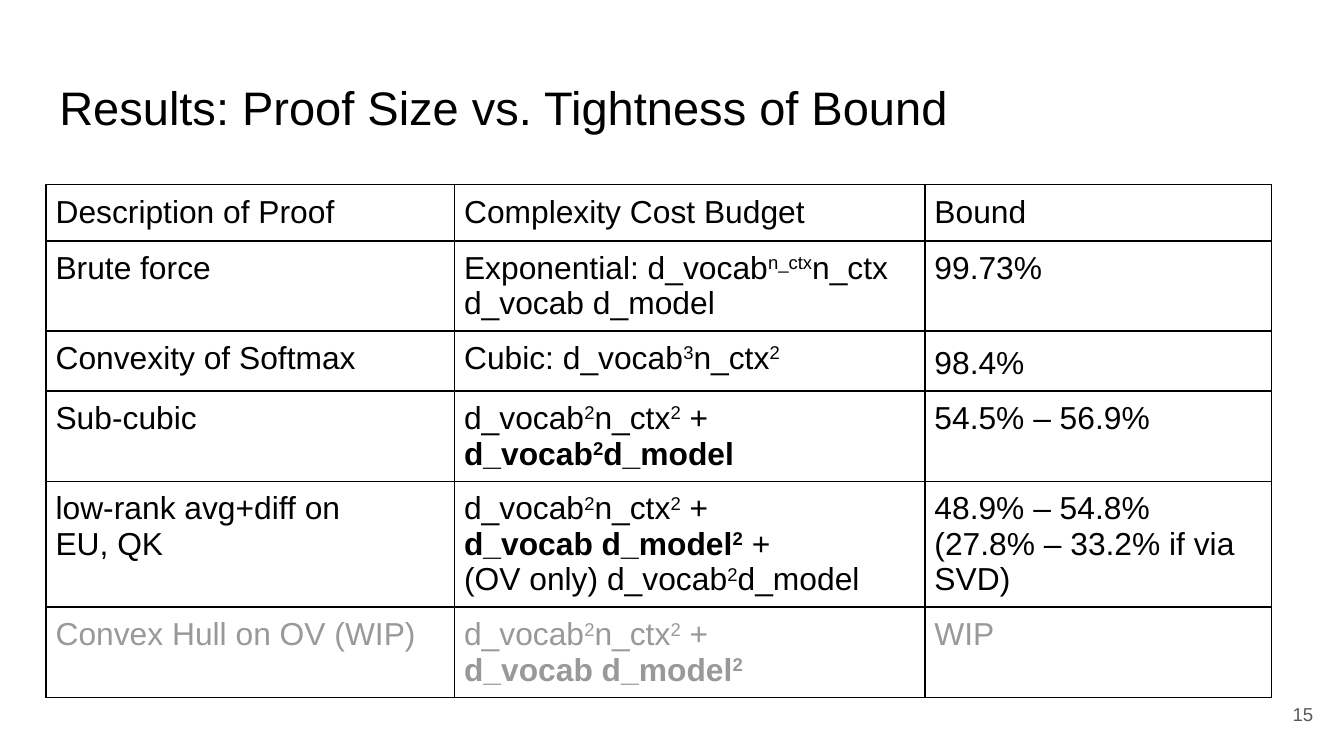
import pptx
import pptx.dml.color
import pptx.enum.text
import pptx.oxml
import pptx.oxml.ns
import pptx.util

Cm = pptx.util.Cm
Pt = pptx.util.Pt

ROWS = [
    ["Description of Proof", "Complexity Cost Budget", "Bound"],
    ["Brute force", "Exponential: d_vocab^n_ctx^n_ctx d_vocab d_model", "99.73%"],
    ["Convexity of Softmax", "Cubic: d_vocab^3^n_ctx^2^", "98.4%"],
    ["Sub-cubic", "d_vocab^2^n_ctx^2^ + *d_vocab^2^d_model*", "54.5% – 56.9%"],
    [
        "low-rank avg+diff on\vEU, QK",
        "d_vocab^2^n_ctx^2^ +\v*d_vocab d_model^2^* +\v(OV only) d_vocab^2^d_model",
        "48.9% – 54.8%\n(27.8% – 33.2% if via SVD)",
    ],
    ["Convex Hull on OV (WIP)", "d_vocab^2^n_ctx^2^ +\v*d_vocab d_model^2^*", "WIP"],
]
COLUMN_WIDTHS = [7.72, 8.89, 6.55]
ROW_HEIGHT = 1.06
LOOSE_CELL = (2, 2)


def colour(value):
    return pptx.dml.color.RGBColor.from_string(value)


def style_font(para, size, value):
    para.font.name = "Arial"
    para.font.size = Pt(size)
    para.font.color.rgb = colour(value)


def set_margins(target, margin):
    target.margin_left = target.margin_right = Cm(margin)
    target.margin_top = target.margin_bottom = Cm(margin)


def place(shape, box):
    shape.left, shape.top, shape.width, shape.height = (Cm(length) for length in box)


def write_formula(para, text):
    for bold_index, section in enumerate(text.split("*")):
        for raised_index, piece in enumerate(section.split("^")):
            for line_index, line in enumerate(piece.split("\v")):
                if line_index:
                    para.add_line_break()
                if not line:
                    continue
                span = para.add_run()
                span.text = line
                if bold_index % 2:
                    span.font.bold = True
                if raised_index % 2:
                    span.font._element.set("baseline", "30000")


def draw_borders(cell, value):
    properties = cell._tc.get_or_add_tcPr()
    for position, side in enumerate("LRTB"):
        border = pptx.oxml.parse_xml(
            f'<a:ln{side} {pptx.oxml.ns.nsdecls("a")} w="{Pt(1)}">'
            f'<a:solidFill><a:srgbClr val="{value}"/></a:solidFill></a:ln{side}>'
        )
        properties.insert(position, border)


def add_title(page, box):
    title = page.shapes.title
    place(title, box)
    frame = title.text_frame
    frame.text = "Results: Proof Size vs. Tightness of Bound"
    frame.word_wrap = True
    frame.auto_size = pptx.enum.text.MSO_AUTO_SIZE.NONE
    frame.vertical_anchor = pptx.enum.text.MSO_ANCHOR.TOP
    set_margins(frame, 0.25)
    para = frame.paragraphs[0]
    para.alignment = pptx.enum.text.PP_ALIGN.LEFT
    style_font(para, 25.2, "000000")


def add_results(page, box):
    lengths = [Cm(length) for length in box]
    table = page.shapes.add_table(len(ROWS), len(COLUMN_WIDTHS), *lengths).table
    table.first_row = False
    table.horz_banding = False
    for column, width in zip(table.columns, COLUMN_WIDTHS):
        column.width = Cm(width)
    for row_index, texts in enumerate(ROWS):
        table.rows[row_index].height = Cm(ROW_HEIGHT)
        text_colour = "999999" if row_index == len(ROWS) - 1 else "000000"
        for column_index, text in enumerate(texts):
            cell = table.cell(row_index, column_index)
            cell.fill.background()
            draw_borders(cell, "000000")
            set_margins(cell, 0.18)
            for line_index, line in enumerate(text.split("\n")):
                frame = cell.text_frame
                para = frame.add_paragraph() if line_index else frame.paragraphs[0]
                style_font(para, 17, text_colour)
                if (row_index, column_index) == LOOSE_CELL:
                    para.line_spacing = 1.15
                write_formula(para, line)


def add_page_number(page, box):
    frame = page.shapes.add_textbox(*(Cm(length) for length in box)).text_frame
    frame.text = "15"
    frame.word_wrap = True
    frame.vertical_anchor = pptx.enum.text.MSO_ANCHOR.MIDDLE
    set_margins(frame, 0.25)
    para = frame.paragraphs[0]
    para.alignment = pptx.enum.text.PP_ALIGN.RIGHT
    style_font(para, 10, "595959")


def main():
    deck = pptx.Presentation()
    deck.slide_width = Cm(25.4)
    deck.slide_height = Cm(14.29)
    page = deck.slides.add_slide(deck.slide_layouts[5])
    add_title(page, (0.87, 1.24, 23.67, 1.6))
    add_results(page, (0.87, 3.49, sum(COLUMN_WIDTHS), ROW_HEIGHT * len(ROWS)))
    add_page_number(page, (23.55, 12.95, 1.52, 1.09))
    deck.save("out.pptx")


if __name__ == "__main__":
    main()
